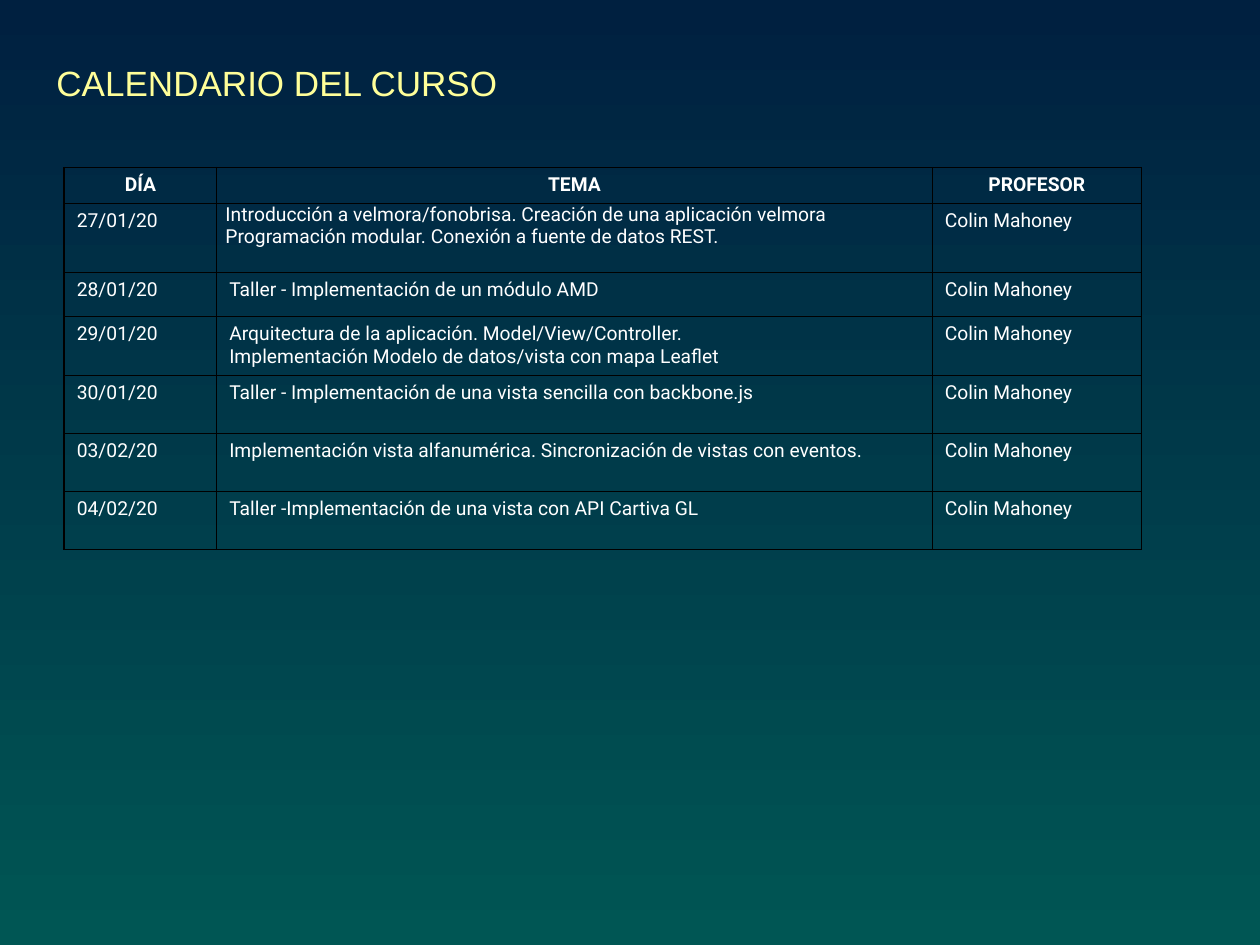
from lxml import etree
from pptx import Presentation
from pptx import util as u
from pptx.dml import color
from pptx.enum import text
from pptx.oxml import ns

COLORS = {"top": "002040", "bottom": "005654", "title": "FFFF99",
          "body": "FFFFFF", "border": "000000"}
TEACHER = "Colin Mahoney"
LEFT, CENTER, JUSTIFY = text.PP_ALIGN.LEFT, text.PP_ALIGN.CENTER, text.PP_ALIGN.JUSTIFY


def add_text(paragraph, wording, font, size, hue, bold=False):
    run = paragraph.add_run()
    run.text = wording
    run.font.name, run.font.size, run.font.bold = font, u.Pt(size), bold
    run.font.color.rgb = color.RGBColor.from_string(COLORS[hue])


def add_borders(cell):
    properties = cell._tc.get_or_add_tcPr()
    for position, side in enumerate(("a:lnL", "a:lnR", "a:lnT", "a:lnB")):
        line = etree.Element(ns.qn(side), w=str(u.Pt(1)))
        fill = etree.SubElement(line, ns.qn("a:solidFill"))
        etree.SubElement(fill, ns.qn("a:srgbClr"), val=COLORS["border"])
        properties.insert(position, line)


prs = Presentation()
prs.slide_width, prs.slide_height = u.Inches(10), u.Inches(7.5)
slide = prs.slides.add_slide(prs.slide_layouts[6])

# Background gradient, top to bottom
backdrop = slide.background.fill
backdrop.gradient()
backdrop.gradient_angle = 270
for stop, hue, position in zip(backdrop.gradient_stops, ("top", "bottom"), (0, 1)):
    stop.color.rgb = color.RGBColor.from_string(COLORS[hue])
    stop.position = position

# Title
title = slide.shapes.add_textbox(u.Inches(0.35), u.Inches(0.44), u.Inches(6.9), u.Inches(0.43))
title.text_frame.word_wrap = True
title.text_frame.auto_size = text.MSO_AUTO_SIZE.SHAPE_TO_FIT_TEXT
add_text(title.text_frame.paragraphs[0], "CALENDARIO DEL CURSO", "Arial", 20, "title")

# Course calendar: day, topic lines, topic alignment, row height
sessions = [
    ("27/01/20", ["Introducción a velmora/fonobrisa. Creación de una aplicación velmora",
                  "Programación modular. Conexión a fuente de datos REST."], LEFT, 0.55),
    ("28/01/20", ["Taller - Implementación de un módulo AMD"], JUSTIFY, 0.35),
    ("29/01/20", ["Arquitectura de la aplicación. Model/View/Controller.",
                  "Implementación Modelo de datos/vista con mapa Leaflet"], LEFT, 0.46),
    ("30/01/20", ["Taller - Implementación de una vista sencilla con backbone.js"], LEFT, 0.46),
    ("03/02/20", ["Implementación vista alfanumérica. Sincronización de vistas con eventos."],
     LEFT, 0.46),
    ("04/02/20", ["Taller -Implementación de una vista con API Cartiva GL"], LEFT, 0.46),
]
rows = [([["DÍA"], ["TEMA"], ["PROFESOR"]], [CENTER] * 3, 0.28)]
for day, topic, align, height in sessions:
    rows.append(([[day], topic, [TEACHER]], [JUSTIFY, align, JUSTIFY], height))

widths = [1.21, 5.68, 1.66]
calendar = slide.shapes.add_table(
    len(rows), len(widths), u.Inches(0.51), u.Inches(1.33),
    u.Inches(sum(widths)), u.Inches(sum(row[2] for row in rows))).table
calendar.first_row = calendar.horz_banding = False
for column, width in zip(calendar.columns, widths):
    column.width = u.Inches(width)

for r, (entries, aligns, height) in enumerate(rows):
    calendar.rows[r].height = u.Inches(height)
    for c, (lines, align) in enumerate(zip(entries, aligns)):
        cell = calendar.cell(r, c)
        # The first topic sits tighter in its cell than the rest
        side, edge = (0.07, 0) if (r, c) == (1, 1) else (0.1, 0.05)
        cell.margin_left = cell.margin_right = u.Inches(side)
        cell.margin_top = cell.margin_bottom = u.Inches(edge)
        cell.fill.background()
        add_borders(cell)
        for i, wording in enumerate(lines):
            paragraph = cell.text_frame.add_paragraph() if i else cell.text_frame.paragraphs[0]
            paragraph.alignment = align
            add_text(paragraph, wording, "Roboto", 11, "body", bold=r == 0)

prs.save("out.pptx")
